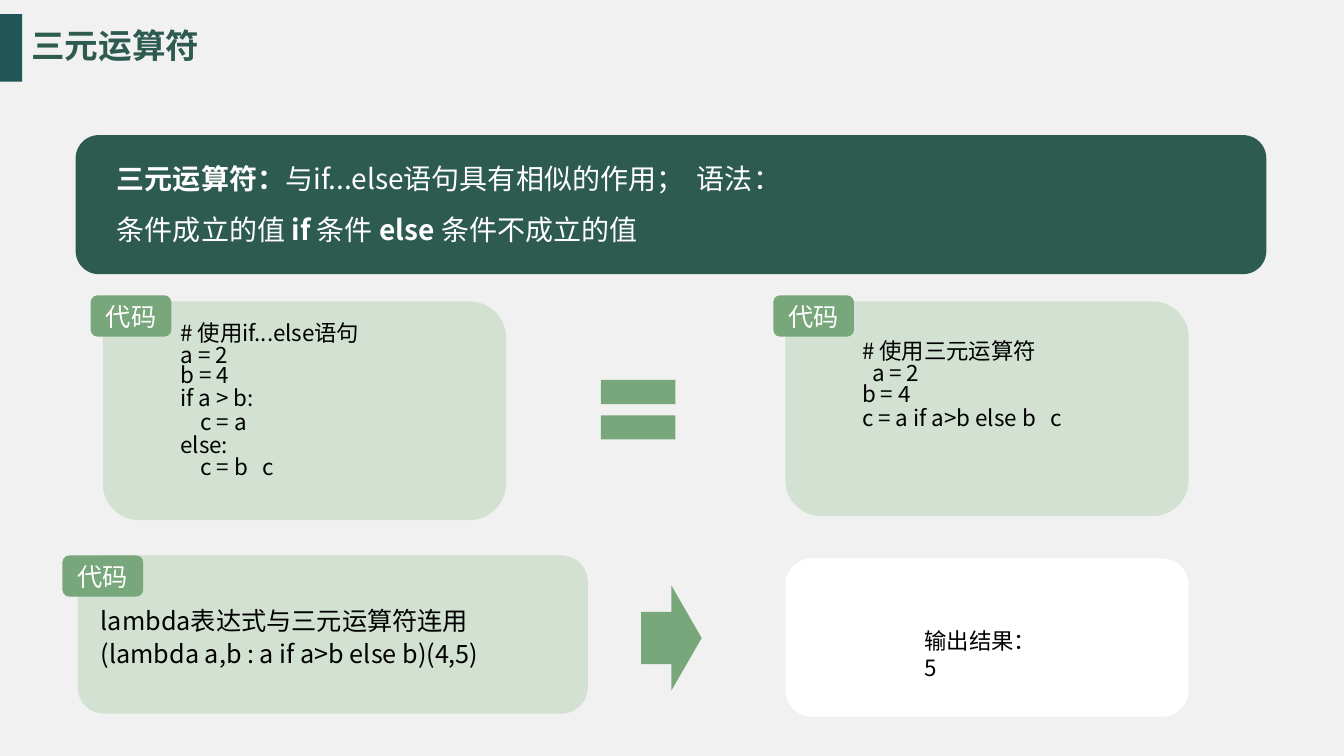
from pptx import Presentation
from pptx.dml.color import RGBColor
from pptx.enum.shapes import MSO_SHAPE
from pptx.enum.text import MSO_ANCHOR, PP_ALIGN
from pptx.oxml.ns import qn
from pptx.util import Inches, Pt
from lxml import etree

RECT = MSO_SHAPE.RECTANGLE
ROUND = MSO_SHAPE.ROUNDED_RECTANGLE
ARROW = MSO_SHAPE.RIGHT_ARROW
TOP, MIDDLE = MSO_ANCHOR.TOP, MSO_ANCHOR.MIDDLE
LEFT, CENTER = PP_ALIGN.LEFT, PP_ALIGN.CENTER
FONT = "Noto Sans CJK SC"
GRAY = RGBColor(0xF1, 0xF1, 0xF1)
TEAL = RGBColor(0x20, 0x56, 0x57)
DARK = RGBColor(0x2E, 0x5B, 0x50)
GREEN = RGBColor(0x78, 0xA7, 0x7B)
PALE = RGBColor(0xD2, 0xE1, 0xD2)
WHITE = RGBColor(0xFF, 0xFF, 0xFF)
BLACK = RGBColor(0, 0, 0)

deck = Presentation()
deck.slide_width, deck.slide_height = Inches(13.33), Inches(7.5)
slide = deck.slides.add_slide(deck.slide_layouts[6])
slide.background.fill.solid()
slide.background.fill.fore_color.rgb = GRAY


def block(kind, x, y, w, h, color):
    shape = slide.shapes.add_shape(kind, Inches(x), Inches(y), Inches(w), Inches(h))
    shape.shadow.inherit = False
    shape.fill.solid()
    shape.fill.fore_color.rgb = color
    shape.line.fill.background()
    return shape


def write(shape, lines, size=16, color=BLACK, bold=False, align=LEFT,
          anchor=TOP, inset=0.01, space=None, gaps=None):
    frame = shape.text_frame
    frame.word_wrap = True
    frame.vertical_anchor = anchor
    frame.margin_left = frame.margin_right = frame.margin_bottom = 0
    frame.margin_top = Inches(inset)
    for i, line in enumerate(lines):
        para = frame.paragraphs[0] if i == 0 else frame.add_paragraph()
        para.alignment = align
        if gaps:
            para.line_spacing, para.space_before = Pt(gaps[i][0]), Pt(gaps[i][1])
        elif space:
            para.line_spacing = space
        for part, strong in [(line, bold)] if isinstance(line, str) else line:
            run = para.add_run()
            run.text = part
            font = run.font
            font.name, font.size, font.bold = FONT, Pt(size), strong
            font.color.rgb = color
            props = run._r.get_or_add_rPr()
            etree.SubElement(props, qn("a:ea")).set("typeface", FONT)


block(RECT, 0, 0.14, 0.22, 0.67, TEAL)
block(ROUND, 0.75, 1.34, 11.81, 1.38, DARK)
for x, y, w, h, color in [
    (1.02, 2.99, 4, 2.17, PALE),
    (7.79, 2.99, 4, 2.13, PALE),
    (0.77, 5.51, 5.06, 1.57, PALE),
    (7.79, 5.54, 4, 1.57, WHITE),
]:
    block(ROUND, x, y, w, h, color)

for x, y in [(0.9, 2.93), (7.67, 2.93), (0.62, 5.51)]:
    tag = block(ROUND, x, y, 0.8, 0.41, GREEN)
    write(tag, ["代码"], size=18, color=WHITE, align=CENTER, anchor=MIDDLE)

for y in (3.77, 4.12):
    block(RECT, 5.96, y, 0.74, 0.24, GREEN)
block(ARROW, 6.36, 5.81, 0.6, 1.04, GREEN)

intro = [[
    ("三元运算符：", True),
    ("与if...else语句具有相似的作用；  语法：条件成立的值 ", False),
    ("if ", True), ("条件 ", False),
    ("else ", True), ("条件不成立的值", False),
]]
branch = ["# 使用if...else语句", "a = 2", "b = 4", "if a > b:",
          "    c = a", "else:", "    c = b   c"]
short = ["# 使用三元运算符", "  a = 2", "b = 4", "c = a if a>b else b   c"]
call = ["lambda表达式与三元运算符连用", "(lambda a,b : a if a>b else b)(4,5)"]
full, tight, loose = (16, 0), (14.4, 0), (16, 1.6)

for x, y, w, h, lines, style in [
    (0.31, 0.24, 1.8, 0.43, ["三元运算符"], dict(size=24, color=DARK, bold=True)),
    (1.16, 1.43, 6.4, 1.03, intro, dict(size=20, color=WHITE, space=1.5)),
    (1.79, 3.15, 2.14, 1.85, branch,
     dict(inset=0.06, gaps=[full, full, tight, full, loose, full, full])),
    (8.55, 3.33, 2.14, 1.18, short,
     dict(inset=0.06, gaps=[full, full, tight, loose])),
    (1, 5.96, 4.5, 0.75, call, dict(size=18, space=1.11)),
    (9.17, 6.21, 1.25, 0.58, ["输出结果：", "5"], {}),
]:
    box = slide.shapes.add_textbox(Inches(x), Inches(y), Inches(w), Inches(h))
    write(box, lines, **style)

deck.save("out.pptx")
